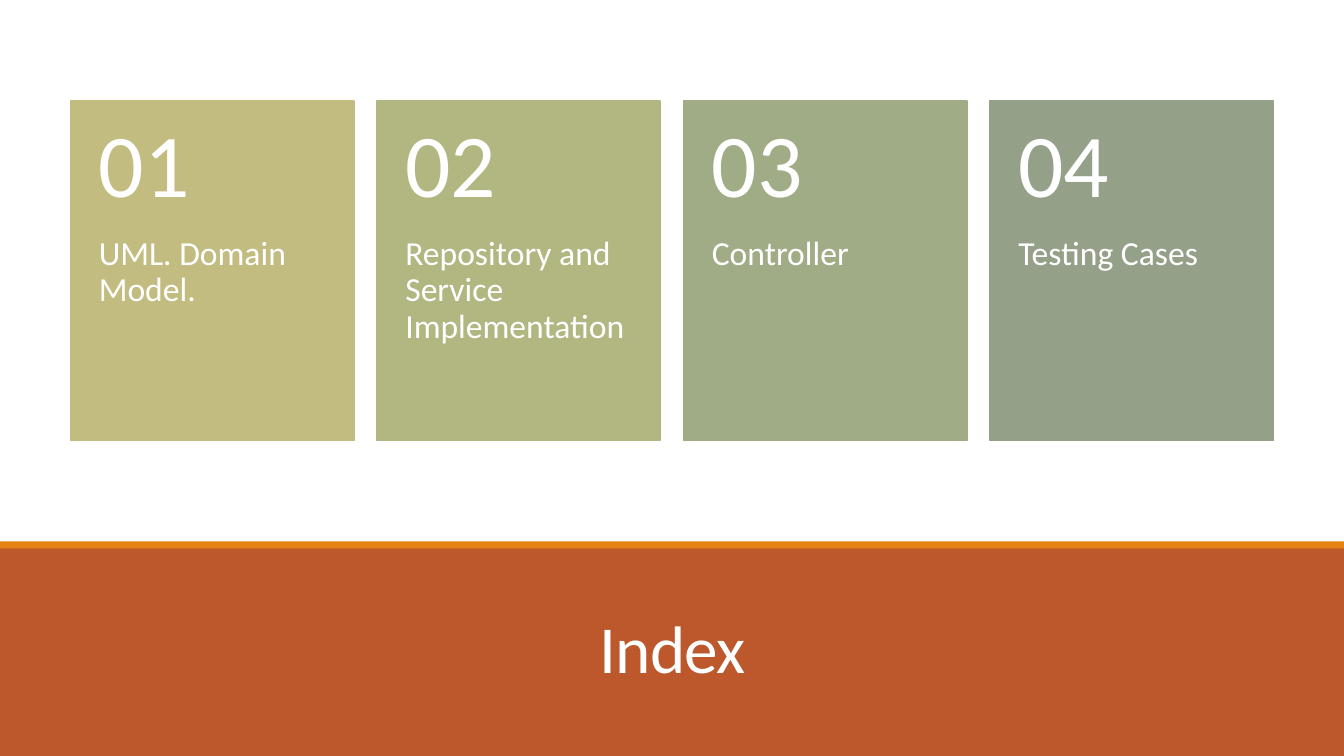
from pptx import Presentation
from pptx.dml.color import RGBColor
from pptx.enum.shapes import MSO_SHAPE
from pptx.enum.text import MSO_ANCHOR, MSO_AUTO_SIZE, PP_ALIGN
from pptx.util import Inches, Pt

RECTANGLE = MSO_SHAPE.RECTANGLE
TOP, MIDDLE, BOTTOM = MSO_ANCHOR.TOP, MSO_ANCHOR.MIDDLE, MSO_ANCHOR.BOTTOM
LEFT, CENTER = PP_ALIGN.LEFT, PP_ALIGN.CENTER
NO_AUTOFIT = MSO_AUTO_SIZE.NONE

FONT = "Calibri"
COLORS = {"white": "FFFFFF", "band": "BD582C", "stripe": "E48312"}
PAGE_WIDTH, PAGE_HEIGHT = 13.33, 7.5
CARD_GAP = 0.23
NUMBER_SHARE = 0.4
TOPICS = [
    ("UML. Domain Model.", "C2BC80"),
    ("Repository and Service Implementation", "B2B782"),
    ("Controller", "A0AC85"),
    ("Testing Cases", "94A088"),
]


def add_rectangle(page, box, color, line_width=None):
    """Add a flat rectangle, with an edge of its own colour if a width is given."""
    rectangle = page.shapes.add_shape(RECTANGLE, *map(Inches, box))
    rectangle.shadow.inherit = False
    rectangle.fill.solid()
    rectangle.fill.fore_color.rgb = RGBColor.from_string(color)
    if line_width is None:
        rectangle.line.fill.background()
    else:
        rectangle.line.color.rgb = RGBColor.from_string(color)
        rectangle.line.width = Pt(line_width)
    return rectangle


def write_text(shape, text, size, anchor, align, spacing, insets):
    """Write one white paragraph into a shape and return its run."""
    frame = shape.text_frame
    frame.word_wrap = True
    frame.auto_size = NO_AUTOFIT
    frame.vertical_anchor = anchor
    (frame.margin_left, frame.margin_top,
     frame.margin_right, frame.margin_bottom) = map(Inches, insets)
    para = frame.paragraphs[0]
    para.alignment = align
    para.line_spacing = spacing
    span = para.add_run()
    span.text = text
    span.font.name = FONT
    span.font.size = Pt(size)
    span.font.color.rgb = RGBColor.from_string(COLORS["white"])
    return span


def add_card(page, box, number, topic, color):
    """Add a coloured card with its number above its topic."""
    left, top, width, height = box
    number_height = height * NUMBER_SHARE
    add_rectangle(page, box, color, 1.25)
    topic_box = page.shapes.add_textbox(*map(
        Inches, (left, top + number_height, width, height - number_height)))
    write_text(topic_box, topic, 24, TOP, LEFT, 0.9, (0.28, 0, 0.28, 0.36))
    number_box = page.shapes.add_textbox(*map(Inches, (left, top, width, number_height)))
    write_text(number_box, f"{number:02}", 64, MIDDLE, LEFT, 0.9, (0.28, 0.18, 0.28, 0.18))


def add_cards(page, box):
    """Spread the topic cards evenly across the box."""
    left, top, width, height = box
    card_width = (width - CARD_GAP * (len(TOPICS) - 1)) / len(TOPICS)
    for index, (topic, color) in enumerate(TOPICS):
        card_left = left + index * (card_width + CARD_GAP)
        add_card(page, (card_left, top, card_width, height), index + 1, topic, color)


def add_title_band(page, box):
    """Add the bottom band with its title and the stripe along its upper edge."""
    left, top, width, height = box
    band = add_rectangle(page, box, COLORS["band"])
    title = page.shapes.title
    title.left, title.top, title.width, title.height = map(
        Inches, (left + 1.17, top + 0.32, 11, 1.13))
    span = write_text(title, "Index", 48, BOTTOM, CENTER, 0.85, (0.1, 0.05, 0.1, 0.05))
    span.font._element.set("spc", "-50")
    band.element.addnext(title.element)
    add_rectangle(page, (left, top - 0.05, width, 0.07), COLORS["stripe"])


def main():
    """Build the index slide and save the deck."""
    deck = Presentation()
    deck.slide_width = Inches(PAGE_WIDTH)
    deck.slide_height = Inches(PAGE_HEIGHT)
    page = deck.slides.add_slide(deck.slide_layouts[5])
    page.background.fill.solid()
    page.background.fill.fore_color.rgb = RGBColor.from_string(COLORS["white"])
    add_title_band(page, (0, 5.42, PAGE_WIDTH, 2.08))
    add_cards(page, (0.7, 1, 11.93, 3.37))
    deck.save("out.pptx")


if __name__ == "__main__":
    main()
